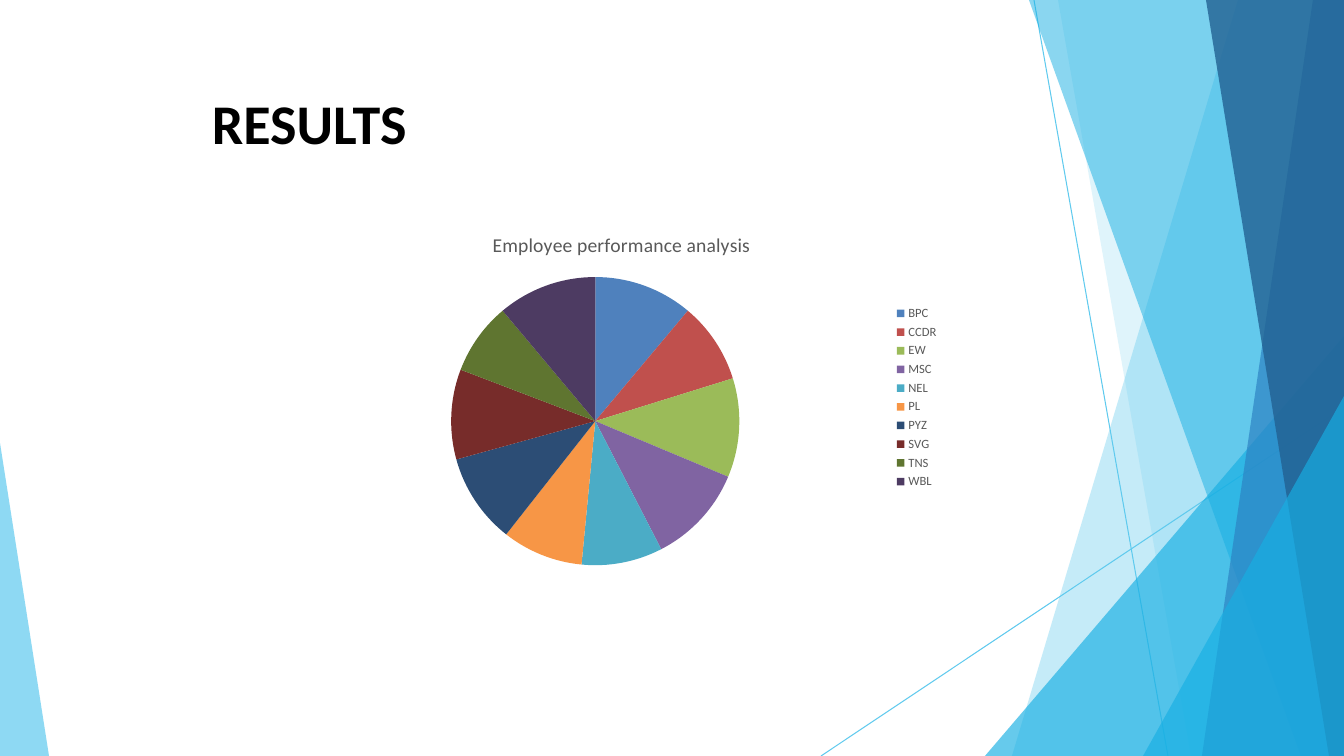
from dataclasses import dataclass

from lxml import etree
from pptx import Presentation
from pptx import util as u
from pptx.chart.data import CategoryChartData
from pptx.dml.color import RGBColor
from pptx.enum import chart as ch, shapes, text
from pptx.oxml import parse_xml
from pptx.oxml.ns import nsdecls, qn

W, H = 1344, 756
SCALE = 12192000 / W


@dataclass(frozen=True)
class Theme:
    """Colours, font and type sizes of the deck."""
    font: str = "Calibri"
    ink: str = "000000"
    grey: str = "595959"
    sky: str = "5FCAEE"
    cyan: str = "17AFE3"
    blue: str = "2D83C3"
    navy: str = "226192"
    slices: tuple = ("4F81BD", "C0504D", "9BBB59", "8064A2", "4BACC6",
                     "F79646", "2C4D75", "772C2A", "5F7530", "4D3B62")
    heading: int = 40
    chart_title: int = 14
    chart_body: int = 10
    legend: int = 9
    hairline: float = 0.75


THEME = Theme()
RESULTS = {"BPC": 11, "CCDR": 9, "EW": 11, "MSC": 11, "NEL": 9,
           "PL": 9, "PYZ": 10, "SVG": 10, "TNS": 8, "WBL": 11}


def px(n):
    """Turn pixels into EMU."""
    return u.Emu(round(n * SCALE))


def rgb(code):
    """Turn a hex code into a colour."""
    return RGBColor.from_string(code)


def style(font, size, color, bold=False):
    """Set the face, size, colour and weight of a font."""
    font.name, font.size, font.bold = THEME.font, u.Pt(size), bold
    font.color.rgb = rgb(color)


def add_line(slide, x1, y1, x2, y2):
    """Draw a hairline without a shadow."""
    c = slide.shapes.add_connector(shapes.MSO_CONNECTOR.STRAIGHT,
                                   px(x1), px(y1), px(x2), px(y2))
    c.line.color.rgb = rgb(THEME.sky)
    c.line.width = u.Pt(THEME.hairline)
    etree.SubElement(c._element.spPr, qn("a:effectLst"))


def add_facet(slide, points, color, opacity):
    """Draw a translucent polygon, opacity in percent."""
    fb = slide.shapes.build_freeform(*points[0], scale=SCALE)
    fb.add_line_segments(points[1:], close=True)
    sp = fb.convert_to_shape()
    sp.shadow.inherit = False
    sp.line.fill.background()
    sp.fill.solid()
    sp.fill.fore_color.rgb = rgb(color)
    clr = sp._element.spPr.find(qn("a:solidFill"))[0]
    etree.SubElement(clr, qn("a:alpha"), val=str(opacity * 1000))


def add_backdrop(slide, x, y, w, h):
    """Place the hairlines and the facets along both edges."""
    right, foot = x + w, y + h
    add_line(slide, x + 1034, y, x + 1168, foot)
    add_line(slide, right, y + 407, x + 821, foot)
    facets = [(1238, 0, 1012, THEME.sky, 36), (1058, 0, 1191, THEME.sky, 20),
              (w, 336, 985, THEME.cyan, 66), (1029, 0, 1301, THEME.cyan, 50),
              (1313, 0, 1202, THEME.blue, 70), (1206, 0, 1329, THEME.navy, 80),
              (w, 396, 1143, THEME.cyan, 66)]
    for top_x, top_y, foot_x, color, opacity in facets:
        add_facet(slide, [(right, y + top_y), (x + top_x, y + top_y),
                          (x + foot_x, foot), (right, foot)], color, opacity)
    add_facet(slide, [(x, y + 443), (x, foot), (x + 49, foot)], THEME.sky, 70)


def add_heading(slide, x, y, w, h):
    """Place the slide heading."""
    tf = slide.shapes.add_textbox(px(x), px(y), px(w), px(h)).text_frame
    tf.word_wrap = True
    tf.auto_size = text.MSO_AUTO_SIZE.SHAPE_TO_FIT_TEXT
    r = tf.paragraphs[0].add_run()
    r.text = "RESULTS"
    style(r.font, THEME.heading, THEME.ink, bold=True)


def place_plot(chart, x, y, w, h):
    """Fix the plot area, in fractions of the chart box."""
    area = chart._chartSpace.chart.plotArea
    for old in area.findall(qn("c:layout")):
        area.remove(old)
    area.insert(0, parse_xml(
        f'<c:layout {nsdecls("c")}><c:manualLayout>'
        '<c:layoutTarget val="inner"/><c:xMode val="edge"/><c:yMode val="edge"/>'
        f'<c:x val="{x}"/><c:y val="{y}"/><c:w val="{w}"/><c:h val="{h}"/>'
        '</c:manualLayout></c:layout>'))


def add_performance_pie(slide, x, y, w, h):
    """Place the performance pie with its title and legend."""
    data = CategoryChartData()
    data.categories = list(RESULTS)
    data.add_series("Series 1", list(RESULTS.values()))
    chart = slide.shapes.add_chart(ch.XL_CHART_TYPE.PIE, px(x), px(y),
                                   px(w), px(h), data).chart
    style(chart.font, THEME.chart_body, THEME.ink)
    chart.has_title = True
    r = chart.chart_title.text_frame.paragraphs[0].add_run()
    r.text = "Employee performance analysis"
    style(r.font, THEME.chart_title, THEME.grey)
    chart.chart_title.include_in_layout = False
    chart.has_legend = True
    chart.legend.position = ch.XL_LEGEND_POSITION.RIGHT
    chart.legend.include_in_layout = False
    style(chart.legend.font, THEME.legend, THEME.grey)
    plot = chart.plots[0]
    plot.vary_by_categories = True
    for i, color in enumerate(THEME.slices):
        fill = plot.series[0].points[i].format.fill
        fill.solid()
        fill.fore_color.rgb = rgb(color)
    place_plot(chart, 0.24, 0.17, 0.44, 0.79)


def main():
    """Build and save the results slide."""
    prs = Presentation()
    prs.slide_width, prs.slide_height = px(W), px(H)
    slide = prs.slides.add_slide(prs.slide_layouts[6])
    add_backdrop(slide, 0, 0, W, H)
    add_performance_pie(slide, 294, 215, 655, 365)
    add_heading(slide, 202, 84, 302, 78)
    prs.save("out.pptx")


if __name__ == "__main__":
    main()
